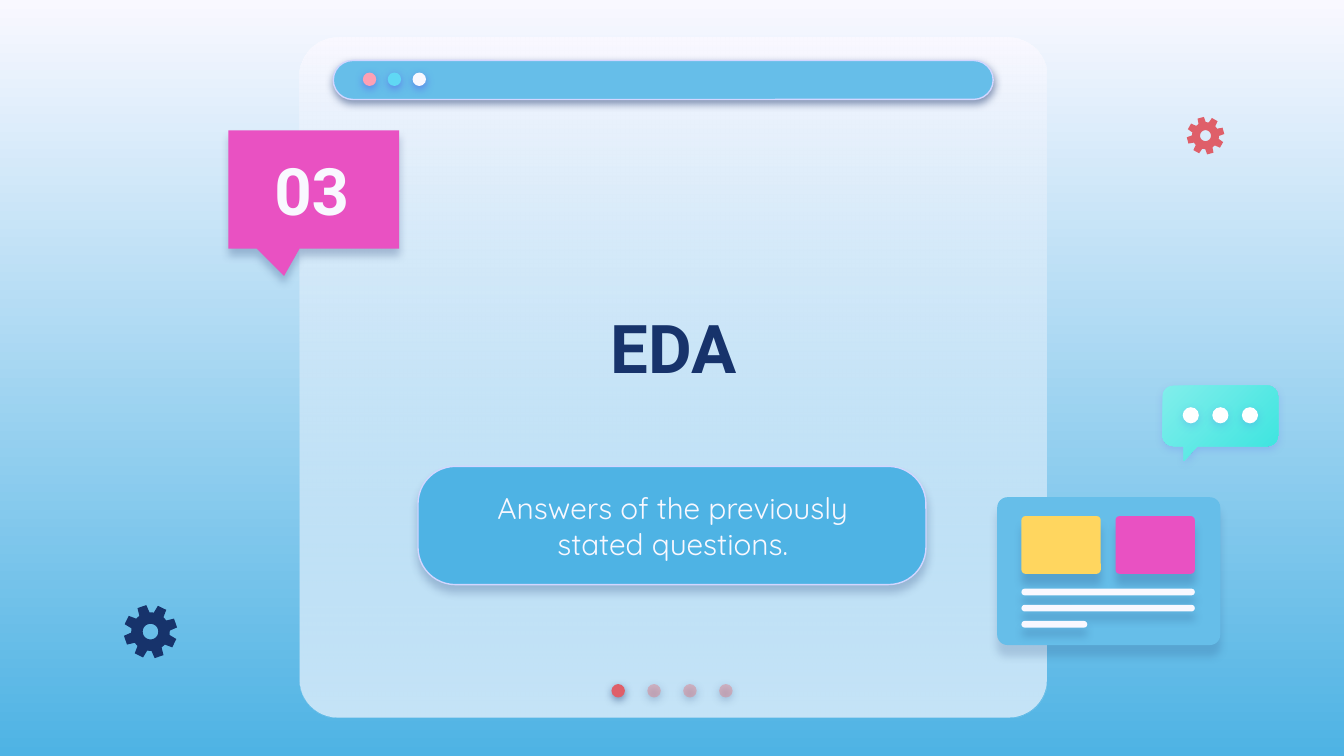
from math import cos, sin, radians

from lxml.etree import SubElement
from pptx import Presentation
from pptx.dml.color import RGBColor
from pptx.enum.shapes import MSO_SHAPE
from pptx.enum.text import MSO_ANCHOR, PP_ALIGN
from pptx.oxml.ns import qn
from pptx.util import Inches, Pt

THEME = dict(
    light="F9F8FF", sky="66BEE9", blue="4EB3E4", navy="17336B", pink="E951C2",
    red="DF5F69", rose="E27B83", yellow="FFD65F", blush="FDA0B4", cyan="60D8F4",
    white="FFFFFF", edge="D2D6FF", violet="5352EE", mint="81EEEB", teal="3AE4DF",
    head="Roboto", body="Quicksand", title=36, number=35, subtitle=16,
)

# Shadows: colour, opacity %, blur pt, distance pt
SOFT = ("navy", 50, 4.5, 1.5)
GLOW = ("violet", 50, 4.5, 1.5)
FAINT_GLOW = ("violet", 18, 4.5, 1.5)

# Content: text, box, size, font, colour, bold, anchor
TEXTS = [
    ("EDA", (2.71, 1.67, 4.6, 1.82), "title", "head", "navy", True, MSO_ANCHOR.MIDDLE),
    ("Answers of the previously stated questions.", (3.5, 3.52, 3.01, 0.78),
     "subtitle", "body", "light", False, MSO_ANCHOR.MIDDLE),
    ("03", (1.79, 1.02, 1.06, 0.78), "number", "head", "light", True, MSO_ANCHOR.BOTTOM),
]
PAGER = [("red", 100), ("rose", 44), ("rose", 44), ("rose", 44)]
WINDOW_BUTTONS = ["blush", "cyan", "light"]
CARD_TILES = ["yellow", "pink"]
CARD_LINES = [1.29, 1.29, 0.49]
# Gears: centre x, centre y, outer radius, tilt in degrees, colour
GEARS = [(1.12, 4.7, 0.2, -19, "navy"), (8.97, 1.01, 0.14, -15, "red")]


def rgb(name):
    return RGBColor.from_string(THEME[name])


def set_alpha(parent, percent):
    SubElement(parent, qn("a:alpha"), val=str(percent * 1000))


def set_gradient(fill, first, last, angle):
    fill.gradient()
    fill.gradient_angle = angle
    for stop, name, pos in zip(fill.gradient_stops, (first, last), (0, 1)):
        stop.color.rgb = rgb(name)
        stop.position = pos


def style(sp, fill, alpha=100, line=None, shadow=None):
    """Fill is a colour name, or (first, last, angle) for a gradient."""
    if isinstance(fill, tuple):
        set_gradient(sp.fill, *fill)
    else:
        sp.fill.solid()
        sp.fill.fore_color.rgb = rgb(fill)
    spPr = sp._element.spPr
    if alpha < 100:
        set_alpha(list(spPr.iter(qn("a:srgbClr")))[-1], alpha)
    if line:
        sp.line.color.rgb = rgb(line)
        sp.line.width = Pt(0.75)
    else:
        sp.line.fill.background()
    sp.shadow.inherit = False
    if shadow:
        color, opacity, blur, dist = shadow
        outer = SubElement(spPr.find(qn("a:effectLst")), qn("a:outerShdw"),
                           blurRad=str(Pt(blur)), dist=str(Pt(dist)),
                           dir="5400000", algn="bl", rotWithShape="0")
        set_alpha(SubElement(outer, qn("a:srgbClr"), val=THEME[color]), opacity)


def add_shape(kind, box, fill, adj=(), **look):
    sp = slide.shapes.add_shape(kind, *map(Inches, box))
    for i, value in enumerate(adj):
        sp.adjustments[i] = value
    style(sp, fill, **look)


def round_rect(box, fill, adj, **look):
    add_shape(MSO_SHAPE.ROUNDED_RECTANGLE, box, fill, [adj], **look)


def dot_row(x, y, size, step, dots, shadow):
    for i, (fill, alpha) in enumerate(dots):
        add_shape(MSO_SHAPE.OVAL, (x + i * step, y, size, size), fill,
                  alpha=alpha, shadow=shadow)


def add_outline(contours, fill, **look):
    contours = [[(Inches(x), Inches(y)) for x, y in c] for c in contours]
    builder = slide.shapes.build_freeform(*contours[0][0])
    for i, points in enumerate(contours):
        if i:
            builder.move_to(*points[0])
        builder.add_line_segments(points[1:], close=True)
    style(builder.convert_to_shape(), fill, **look)


def polar(cx, cy, radius, angle):
    return cx + radius * cos(radians(angle)), cy + radius * sin(radians(angle))


def arc(cx, cy, radius, start, stop, step):
    return [polar(cx, cy, radius, a) for a in range(start, stop + 1, step)]


def add_gear(cx, cy, radius, tilt, color):
    tooth = [(-16, 0.72), (-10, 1), (10, 1), (16, 0.72)]
    rim = [polar(cx, cy, radius * k, tilt + 45 * n + a)
           for n in range(8) for a, k in tooth]
    hole = arc(cx, cy, radius * 0.29, 0, 350, 10)[::-1]
    add_outline([rim, hole], color)


def add_text(text, box, size, font, color, bold, anchor):
    tf = slide.shapes.add_textbox(*map(Inches, box)).text_frame
    tf.word_wrap = True
    tf.vertical_anchor = anchor
    tf.margin_left = tf.margin_right = tf.margin_top = tf.margin_bottom = Inches(0.1)
    p = tf.paragraphs[0]
    p.text = text
    p.alignment = PP_ALIGN.CENTER
    p.font.size = Pt(THEME[size])
    p.font.name = THEME[font]
    p.font.bold = bold
    p.font.color.rgb = rgb(color)


# Widescreen slide, 16:9
prs = Presentation()
prs.slide_width, prs.slide_height = Inches(10), Inches(10 * 9 / 16)
slide = prs.slides.add_slide(prs.slide_layouts[6])
set_gradient(slide.background.fill, "light", "blue", 270)

# Window panel with pager and title bar
panel = (2.23, 0.28, 5.56, 5.06)
round_rect(panel, "light", 0.056)
round_rect(panel, ("light", "sky", 270), 0.056, alpha=35)
dot_row(4.55, 5.09, 0.1, 0.267, PAGER, SOFT)
round_rect((2.48, 0.45, 4.91, 0.29), "sky", 0.5, line="edge", shadow=SOFT)
dot_row(2.7, 0.54, 0.1, 0.185, [(c, 100) for c in WINDOW_BUTTONS], GLOW)

# Number callout and subtitle plate
add_shape(MSO_SHAPE.ROUNDED_RECTANGULAR_CALLOUT, (1.7, 0.97, 1.27, 0.88), "pink",
          (-0.174, 0.731, 0), shadow=("navy", 25, 4.5, 3.8))
round_rect((3.11, 3.47, 3.78, 0.88), "blue", 0.317, line="edge",
           shadow=("navy", 24, 4.5, 3.8))

# Card with tiles and text lines
round_rect((7.42, 3.7, 1.66, 1.1), "sky", 0.07, shadow=("navy", 17, 4.5, 6))
for i, color in enumerate(CARD_TILES):
    round_rect((7.6 + i * 0.7, 3.84, 0.59, 0.43), color, 0.07,
               shadow=("navy", 20, 4.5, 6))
for i, width in enumerate(CARD_LINES):
    round_rect((7.6, 4.38 + i * 0.12, width, 0.05), "light", 0.5,
               shadow=("navy", 21, 4.5, 4.5))

# Chat bubble: four rounded corners and a tail
left, top, right, bottom, corner = 8.65, 2.87, 9.51, 3.32, 0.08
bubble = (arc(left + corner, top + corner, corner, 180, 270, 15)
          + arc(right - corner, top + corner, corner, 270, 360, 15)
          + arc(right - corner, bottom - corner, corner, 0, 90, 15)
          + [(8.91, bottom), (8.81, 3.43), (8.81, bottom)]
          + arc(left + corner, bottom - corner, corner, 90, 180, 15))
add_outline([bubble], ("mint", "teal", 315), shadow=FAINT_GLOW)
dot_row(8.8, 3.03, 0.12, 0.22, [("white", 100)] * 3, FAINT_GLOW)

# Gears and text
for gear in GEARS:
    add_gear(*gear)
for item in TEXTS:
    add_text(*item)

prs.save("out.pptx")
